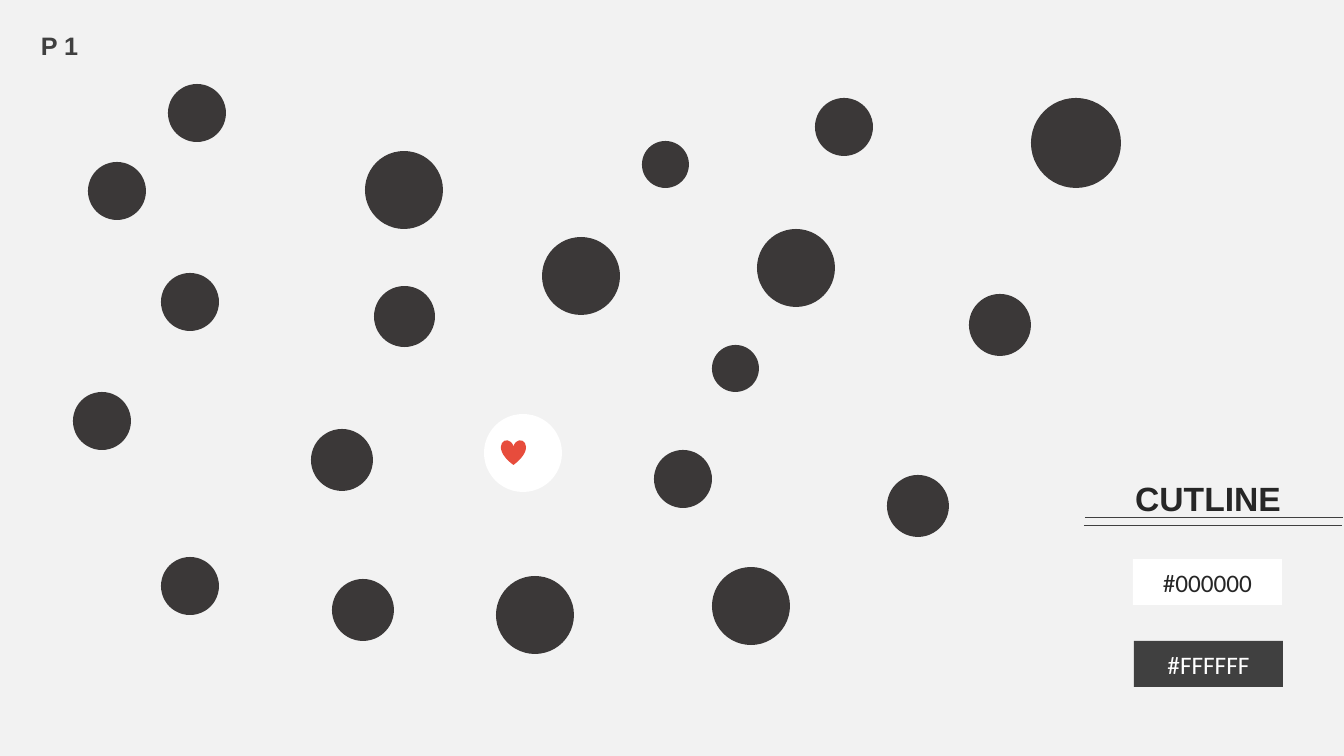
"""Build a slide of scattered dots with a heart and colour labels."""
from pptx import Presentation
from pptx.dml.color import RGBColor
from pptx.enum.shapes import MSO_CONNECTOR, MSO_SHAPE
from pptx.enum.text import MSO_ANCHOR, MSO_AUTO_SIZE, PP_ALIGN
from pptx.oxml.ns import qn
from pptx.util import Pt
from lxml.etree import SubElement

SCALE = 914400 / 100.8
DARK, GREY, INK, WHITE = "3B3838", "404040", "262626", "FFFFFF"
DOTS = {
    47: [(642, 141), (712, 345)],
    58: [(88, 162), (168, 84), (161, 273), (73, 392), (161, 557),
         (815, 98), (654, 450)],
    61: [(374, 286)],
    62: [(311, 429), (332, 579), (887, 475), (969, 294)],
    78: [(365, 151), (542, 237), (496, 576), (757, 229), (712, 567)],
    90: [(1031, 98)],
}


def px(*vals):
    """Turn pixel lengths into EMU."""
    return [round(v * SCALE) for v in vals]


def paint(color, code):
    """Set a colour format from a hex string."""
    color.rgb = RGBColor.from_string(code)


def write(shape, text, size, code, face, bold=False):
    """Put one centred line of text in a shape."""
    frame = shape.text_frame
    frame.text = text
    frame.word_wrap = True
    frame.auto_size = MSO_AUTO_SIZE.NONE
    frame.vertical_anchor = MSO_ANCHOR.MIDDLE
    line = frame.paragraphs[0]
    line.alignment = PP_ALIGN.CENTER
    font = line.runs[0].font
    font.size, font.name, font.bold = Pt(size), face, bold
    paint(font.color, code)


def add_form(slide, kind, box, code):
    """Add a filled shape with no outline."""
    shape = slide.shapes.add_shape(kind, *px(*box))
    shape.shadow.inherit = False
    shape.fill.solid()
    paint(shape.fill.fore_color, code)
    shape.line.fill.background()
    return shape


def add_chip(slide, left, top, text, fill, ink):
    """Add a colour label."""
    chip = add_form(slide, MSO_SHAPE.RECTANGLE, (left, top, 149, 46), fill)
    write(chip, text, 18, ink, "Calibri")


def add_rule(slide, left, right, top):
    """Add a thin level line."""
    rule = slide.shapes.add_connector(
        MSO_CONNECTOR.STRAIGHT, *px(left, top, right, top))
    rule.line.width = Pt(0.5)
    paint(rule.line.color, GREY)
    SubElement(rule._element.spPr, qn("a:effectLst"))


def add_title(slide, text):
    """Place and format the title."""
    title = slide.shapes.title
    title.left, title.top, title.width, title.height = px(1123, 448, 170, 101)
    write(title, text, 24, INK, "Arial", True)


def main():
    """Build and save the slide."""
    deck = Presentation()
    deck.slide_width, deck.slide_height = px(1344, 756)
    slide = deck.slides.add_slide(deck.slide_layouts[5])
    slide.background.fill.solid()
    paint(slide.background.fill.fore_color, "F2F2F2")

    add_form(slide, MSO_SHAPE.OVAL, (484, 414, 78, 78), WHITE)
    add_form(slide, MSO_SHAPE.HEART, (501, 440, 25, 25), "E74C3C")
    for size, spots in DOTS.items():
        for left, top in spots:
            add_form(slide, MSO_SHAPE.OVAL, (left, top, size, size), DARK)

    add_title(slide, "CUTLINE")
    add_rule(slide, 1085, 1343, 517)
    add_rule(slide, 1084, 1342, 525)
    add_chip(slide, 1133, 559, "#000000", WHITE, INK)
    add_chip(slide, 1134, 641, "#FFFFFF", GREY, WHITE)
    page = slide.shapes.add_textbox(*px(9, 15, 101, 61))
    write(page, "P 1", 18, GREY, "Arial", True)
    deck.save("out.pptx")


if __name__ == "__main__":
    main()
